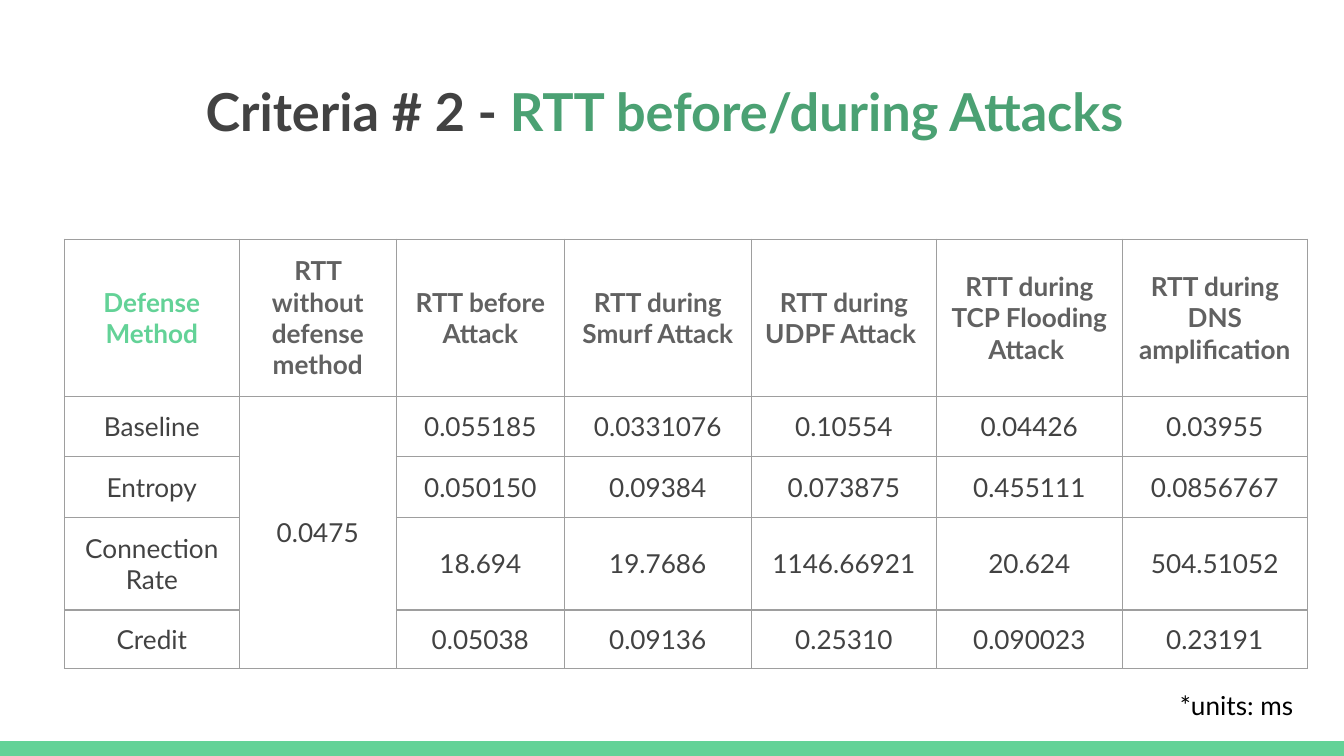
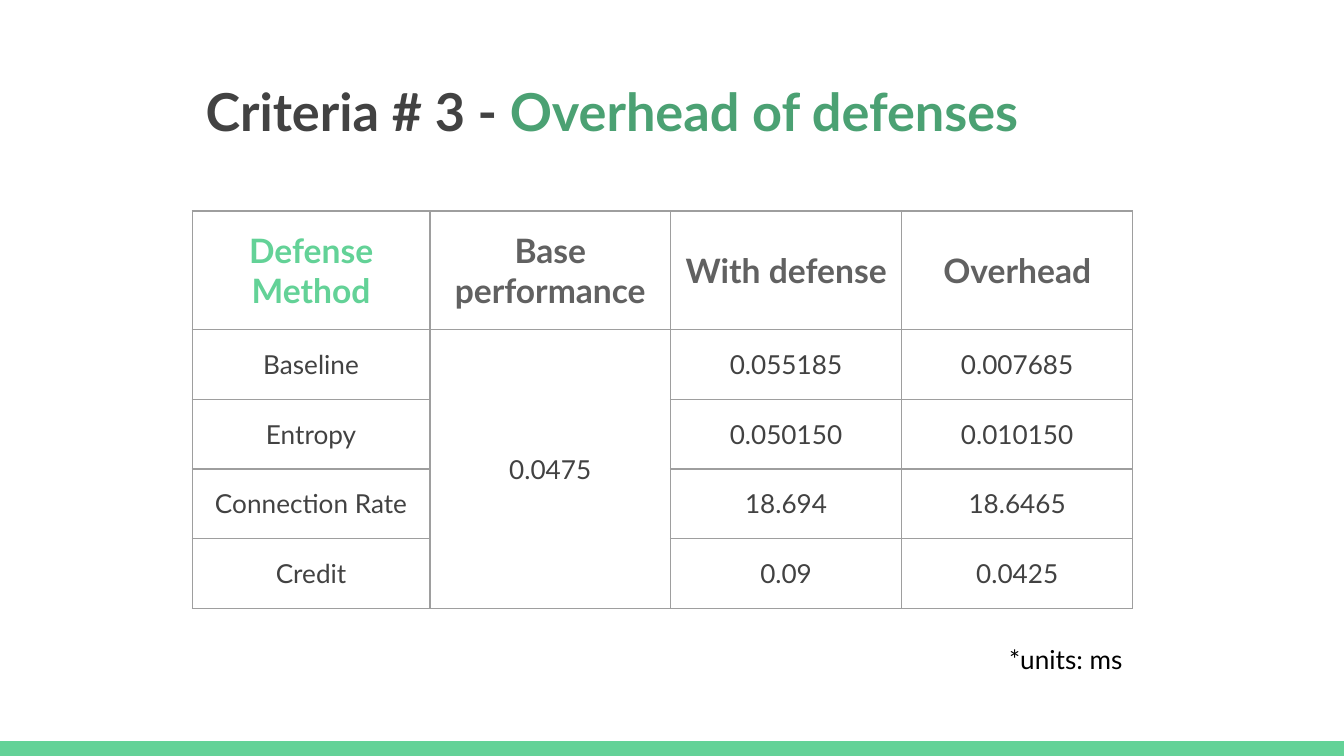
import lxml.etree
import pptx
import pptx.dml.color
import pptx.enum.shapes
import pptx.enum.text
import pptx.oxml.ns
import pptx.util

Inches = pptx.util.Inches
Pt = pptx.util.Pt
RGBColor = pptx.dml.color.RGBColor
PP_ALIGN = pptx.enum.text.PP_ALIGN
MSO_ANCHOR = pptx.enum.text.MSO_ANCHOR

# Content
UNITS = "*units: ms"
BASE_RTT = "0.0475"  # shared by all methods, merged down the second column
CRITERIA = [
    {
        "title": ("Criteria # 2 - ", "RTT before/during Attacks"),
        "header": ["Defense Method", "RTT without defense method", "RTT before Attack",
                   "RTT during Smurf Attack", "RTT during UDPF Attack ",
                   "RTT during TCP Flooding Attack ", "RTT during DNS amplification"],
        "methods": [
            ("Baseline", "0.055185", "0.0331076", "0.10554", "0.04426", "0.03955"),
            ("Entropy", "0.050150", "0.09384", "0.073875", "0.455111", "0.0856767"),
            ("Connection Rate", "18.694", "19.7686", "1146.66921", "20.624", "504.51052"),
            ("Credit", "0.05038", "0.09136", "0.25310", "0.090023", "0.23191"),
        ],
        "table_at": (0.48, 1.78),
        "widths": [1.3, 1.17, 1.25, 1.39] + [1.38] * 3,
        "heights": [1.17, 0.45, 0.45, 0.69, 0.43],
        "header_size": 14,
        "units_at": (8.68, 5.03),
    },
    {
        "title": ("Criteria # 3 - ", "Overhead of defenses"),
        "header": ["Defense Method", "Base performance", "With defense", "Overhead"],
        "methods": [
            ("Baseline", "0.055185", "0.007685"),
            ("Entropy", "0.050150", "0.010150"),
            ("Connection Rate", "18.694", "18.6465"),
            ("Credit", "0.09", "0.0425"),
        ],
        "table_at": (1.43, 1.57),
        "widths": [1.77, 1.79, 1.72, 1.72],
        "heights": [0.88] + [0.52] * 4,
        "header_size": 18,
        "units_at": (7.41, 4.69),
    },
]

# Shared look
FONT = "Lato"
MINT = RGBColor(0x63, 0xD2, 0x97)
GREEN = RGBColor(0x4B, 0xA1, 0x73)
CHARCOAL = RGBColor(0x42, 0x42, 0x42)
GREY = RGBColor(0x61, 0x61, 0x61)
RULE = RGBColor(0x9E, 0x9E, 0x9E)
BLACK = RGBColor(0, 0, 0)
SLIDE_W = 10
SLIDE_H = SLIDE_W * 9 / 16
BAND_H = 0.11
INSET = Inches(0.1)


def add_text(frame, text, size=14, color=CHARCOAL, bold=False, align=PP_ALIGN.LEFT):
    """Append a formatted run to the first paragraph of a text frame."""
    paragraph = frame.paragraphs[0]
    paragraph.alignment = align
    run = paragraph.add_run()
    run.text = text
    run.font.name = FONT
    run.font.size = Pt(size)
    run.font.bold = bold
    run.font.color.rgb = color


def set_insets(holder):
    holder.margin_left = holder.margin_right = INSET
    holder.margin_top = holder.margin_bottom = INSET


def add_band(slide):
    band = slide.shapes.add_shape(
        pptx.enum.shapes.MSO_SHAPE.RECTANGLE,
        0, Inches(SLIDE_H - BAND_H), Inches(SLIDE_W), Inches(BAND_H))
    band.shadow.inherit = False
    band.fill.solid()
    band.fill.fore_color.rgb = MINT
    band.line.fill.background()


def add_title(slide, label, topic):
    title = slide.shapes.title
    title.left, title.top = Inches(1.43), Inches(0.49)
    title.width, title.height = Inches(7.72), Inches(0.63)
    frame = title.text_frame
    set_insets(frame)
    frame.word_wrap = True
    frame.auto_size = pptx.enum.text.MSO_AUTO_SIZE.NONE
    frame.vertical_anchor = MSO_ANCHOR.TOP
    add_text(frame, label, size=28, bold=True)
    add_text(frame, topic, size=28, bold=True, color=GREEN)


def style_cell(cell):
    set_insets(cell)
    cell.vertical_anchor = MSO_ANCHOR.MIDDLE
    cell.fill.background()
    properties = cell._tc.get_or_add_tcPr()
    qn = pptx.oxml.ns.qn
    # Borders must come before the fill
    for position, side in enumerate(("a:lnL", "a:lnR", "a:lnT", "a:lnB")):
        border = lxml.etree.Element(qn(side), w=str(Pt(0.75)))
        fill = lxml.etree.SubElement(border, qn("a:solidFill"))
        lxml.etree.SubElement(fill, qn("a:srgbClr"), val=str(RULE))
        properties.insert(position, border)


def add_results(slide, criterion):
    widths, heights = criterion["widths"], criterion["heights"]
    left, top = criterion["table_at"]
    results = slide.shapes.add_table(
        len(heights), len(widths), Inches(left), Inches(top),
        Inches(sum(widths)), Inches(sum(heights))).table
    results.first_row = results.horz_banding = False
    for column, width in zip(results.columns, widths):
        column.width = Inches(width)
    for row, height in zip(results.rows, heights):
        row.height = Inches(height)
    for cell in results.iter_cells():
        style_cell(cell)

    for col, heading in enumerate(criterion["header"]):
        add_text(results.cell(0, col).text_frame, heading, bold=True,
                 size=criterion["header_size"], color=GREY if col else MINT,
                 align=PP_ALIGN.CENTER)
    for row, (method, *values) in enumerate(criterion["methods"], start=1):
        base = BASE_RTT if row == 1 else None
        for col, text in enumerate([method, base, *values]):
            if text:
                add_text(results.cell(row, col).text_frame, text, align=PP_ALIGN.CENTER)
    results.cell(1, 1).merge(results.cell(len(heights) - 1, 1))


def add_units(slide, left, top):
    units = slide.shapes.add_textbox(Inches(left), Inches(top), Inches(1.11), Inches(0.66))
    set_insets(units.text_frame)
    units.text_frame.word_wrap = True
    add_text(units.text_frame, UNITS, color=BLACK)


def main():
    deck = pptx.Presentation()
    deck.slide_width, deck.slide_height = Inches(SLIDE_W), Inches(SLIDE_H)
    title_only = deck.slide_layouts[5]
    for criterion in CRITERIA:
        slide = deck.slides.add_slide(title_only)
        add_band(slide)
        add_title(slide, *criterion["title"])
        add_results(slide, criterion)
        add_units(slide, *criterion["units_at"])
    deck.save("out.pptx")


if __name__ == "__main__":
    main()
